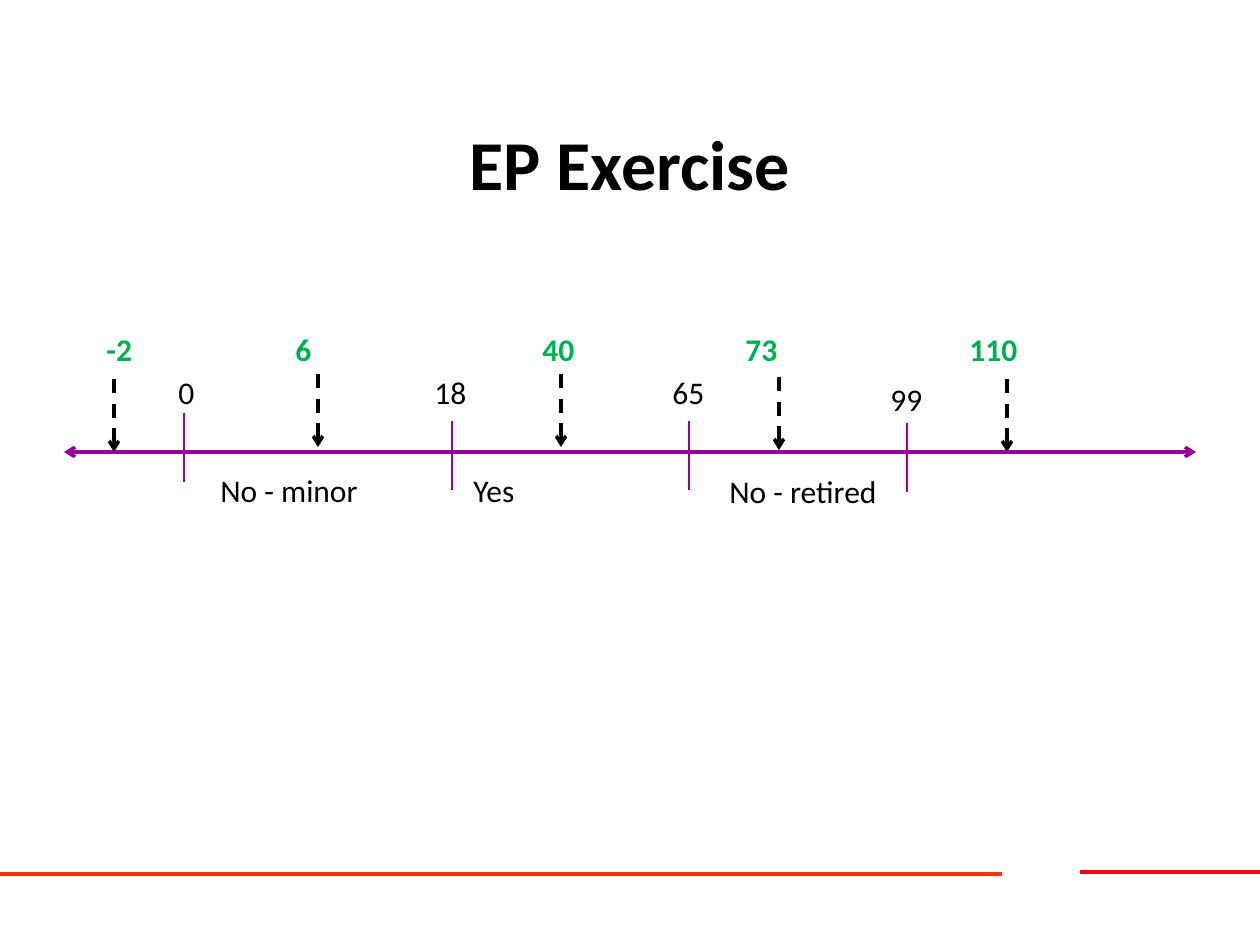
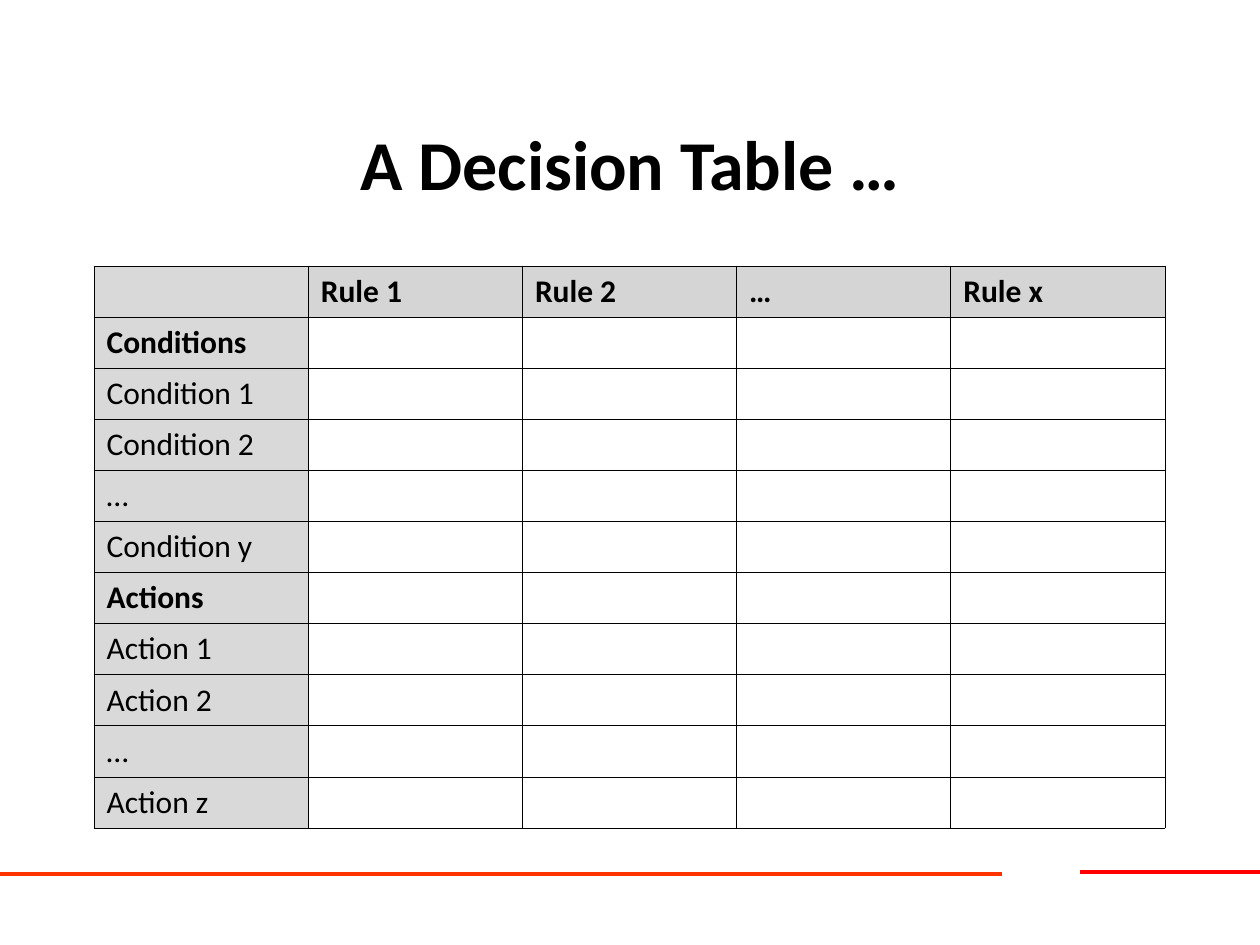
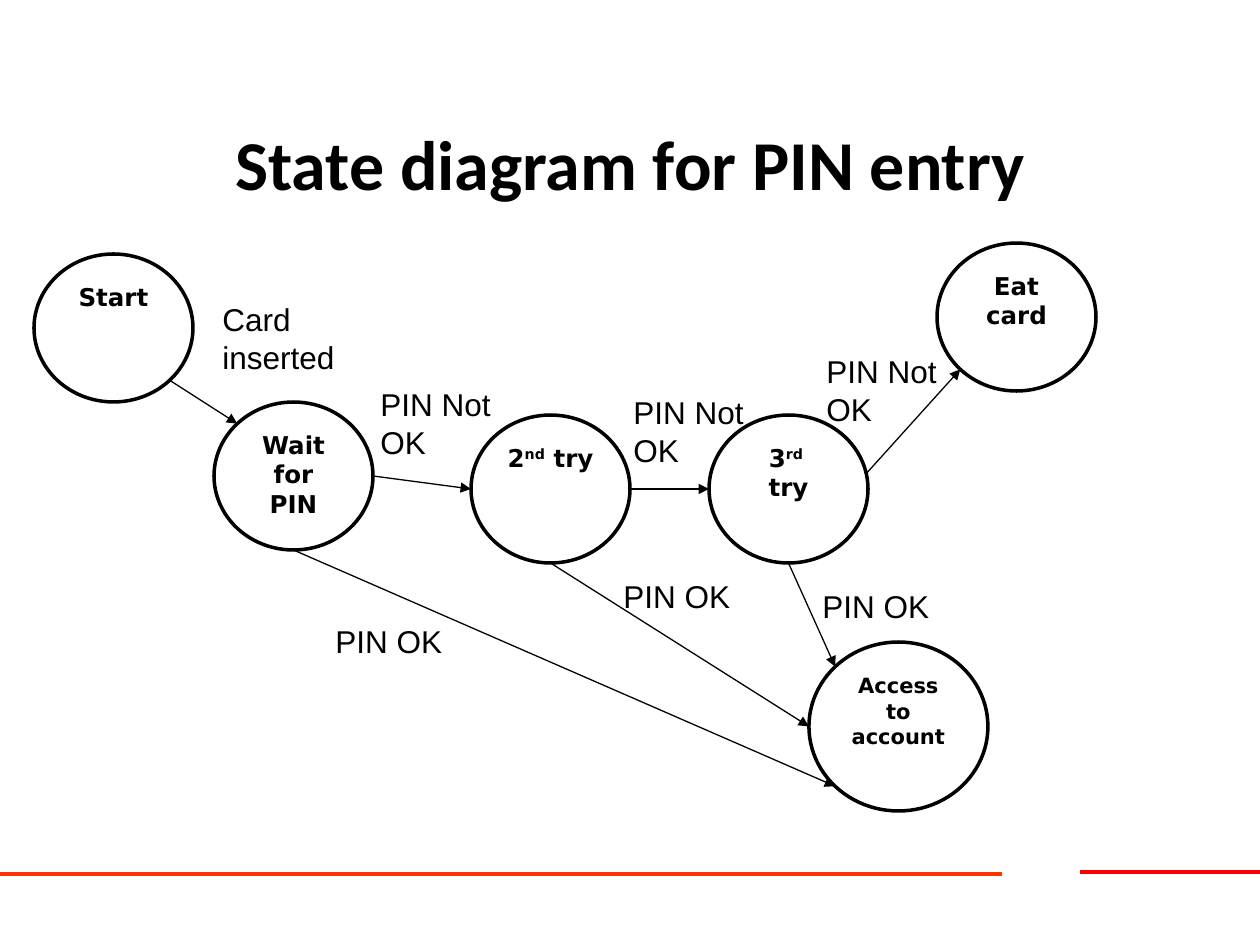
from math import cos, radians, sin

from lxml import etree
from pptx import Presentation
from pptx import util as u
from pptx.dml.color import RGBColor
from pptx.enum import dml, shapes, text
from pptx.oxml.ns import qn

BLACK = RGBColor(0, 0, 0)
WHITE = RGBColor(255, 255, 255)
RED = RGBColor(255, 0, 0)
ORANGE = RGBColor(255, 51, 0)
PURPLE = RGBColor(153, 0, 153)
GREEN = RGBColor(0, 176, 80)
HEAD = RGBColor(213, 213, 213)
SIDE = RGBColor(217, 217, 217)
BODY, LABEL, STATE = "Calibri", "Arial", "DejaVu Sans"
SCALE = 914400 / 126


def px(n):
    """Turn pixels into EMU."""
    return u.Emu(round(n * SCALE))


def style(run, size, face=BODY, color=BLACK, bold=False):
    """Format one run."""
    font = run.font
    font.size, font.name, font.bold = u.Pt(size), face, bold
    font.color.rgb = color


def line(slide, start, end, color, width, tip=None, tail=None, dash=False):
    """Draw a straight line with an optional arrowhead at each end."""
    link = slide.shapes.add_connector(
        shapes.MSO_CONNECTOR.STRAIGHT, *map(px, (*start, *end)))
    link.line.color.rgb = color
    link.line.width = u.Pt(width)
    if dash:
        link.line.dash_style = dml.MSO_LINE.DASH
    props = link.line._get_or_add_ln()
    for tag, kind in (("a:headEnd", tail), ("a:tailEnd", tip)):
        if kind:
            etree.SubElement(props, qn(tag), type=kind)
    etree.SubElement(link.element.spPr, qn("a:effectLst"))
    return link


def label(slide, x, y, w, words, face=BODY, color=BLACK, bold=False, wrap=True, h=50):
    """Place a text box and return its paragraph."""
    frame = slide.shapes.add_textbox(*map(px, (x, y, w, h))).text_frame
    frame.word_wrap = wrap
    frame.text = words
    para = frame.paragraphs[0]
    style(para.runs[0], 18, face, color, bold)
    return para


def band(slide):
    """Put the two footer rules on the layout that the slides share."""
    rules = (((1080, 872), (1260, 872), RED), ((0, 874), (1002, 874), ORANGE))
    for num, (start, end, color) in enumerate(rules, 20):
        rule = line(slide, start, end, color, 2.25).element
        rule.nvCxnSpPr.cNvPr.id = num
        slide.slide_layout.shapes.element.append(rule)


def page(deck, words):
    """Add a slide with its title."""
    slide = deck.slides.add_slide(deck.slide_layouts[5])
    title = slide.shapes.title
    title.left, title.top, title.width, title.height = map(px, (94, 84, 1072, 158))
    frame = title.text_frame
    frame.text = words
    frame.vertical_anchor = text.MSO_ANCHOR.MIDDLE
    para = frame.paragraphs[0]
    para.alignment = text.PP_ALIGN.CENTER
    style(para.runs[0], 40, bold=True)
    return slide


def ages(slide, x, y, w):
    """Draw the age axis with its bounds, zones and test values."""
    axis = y + 128
    line(slide, (x, axis), (x + w, axis), PURPLE, 2, "arrow", "arrow")
    bounds = (("0", 120, 89, 102, 43), ("18", 388, 97, 358, 43),
              ("65", 625, 97, 596, 43), ("99", 843, 99, 814, 50))
    for words, dx, top, left, high in bounds:
        line(slide, (x + dx, y + top), (x + dx, y + top + 69), PURPLE, 0.75)
        label(slide, x + left, y + high, 58, words, wrap=False)
    zones = (("No - minor", 144, 141, 214), ("Yes", 397, 141, 110),
             ("No - retired", 653, 142, 181))
    for words, dx, dy, wide in zones:
        label(slide, x + dx, y + dy, wide, words)
    para = label(slide, x + 30, y, 1142, "-2\t6\t40\t73\t110", color=GREEN, bold=True)
    tabs = etree.SubElement(para._p.get_or_add_pPr(), qn("a:tabLst"))
    for stop in (189, 436, 639, 863):
        etree.SubElement(tabs, qn("a:tab"), pos=str(px(stop)), algn="l")
    for dx, dy in ((50, 55), (254, 50), (497, 50), (715, 53), (943, 55)):
        line(slide, (x + dx, y + dy), (x + dx, y + dy + 73), BLACK, 2, "arrow", dash=True)


def edge(cell):
    """Give a cell thin black borders."""
    props = cell._tc.get_or_add_tcPr()
    for num, side in enumerate(("lnL", "lnR", "lnT", "lnB")):
        rule = etree.Element(qn("a:" + side), w="5715")
        fill = etree.SubElement(rule, qn("a:solidFill"))
        etree.SubElement(fill, qn("a:srgbClr"), val=str(BLACK))
        props.insert(num, rule)


def rules(slide, x, y, w, h):
    """Build the empty decision table."""
    heads = ("", "Rule 1", "Rule 2", "…", "Rule x")
    sides = ("", "Conditions", "Condition 1", "Condition 2", "…", "Condition y",
             "Actions", "Action 1", "Action 2", "…", "Action z")
    grid = slide.shapes.add_table(
        len(sides), len(heads), *map(px, (x, y, w, h))).table
    grid.first_row = grid.horz_banding = False
    for r, side in enumerate(sides):
        for c, head in enumerate(heads):
            cell = grid.cell(r, c)
            if r and c:
                cell.fill.background()
            else:
                cell.fill.solid()
                cell.fill.fore_color.rgb = HEAD if c else SIDE
                cell.text = head or side
            for run in cell.text_frame.paragraphs[0].runs:
                style(run, 18, bold=r == 0 or side in ("Conditions", "Actions"))
            edge(cell)


def state(slide, box, words, size):
    """Draw one state; text between carets is raised."""
    oval = slide.shapes.add_shape(shapes.MSO_SHAPE.OVAL, *map(px, box))
    oval.shadow.inherit = False
    oval.fill.solid()
    oval.fill.fore_color.rgb = WHITE
    oval.line.color.rgb = BLACK
    oval.line.width = u.Pt(2)
    frame = oval.text_frame
    frame.word_wrap = True
    frame.vertical_anchor = text.MSO_ANCHOR.TOP
    for num, row in enumerate(words.split("\n")):
        para = frame.add_paragraph() if num else frame.paragraphs[0]
        para.alignment = text.PP_ALIGN.CENTER
        for odd, part in enumerate(row.split("^")):
            run = para.add_run()
            run.text = part
            style(run, size, STATE, bold=True)
            if odd % 2:
                run._r.get_or_add_rPr().set("baseline", "30000")


def rim(box, angle):
    """Find the point of an oval at an angle, clockwise from the right."""
    x, y, w, h = box
    turn = radians(angle)
    return x + w / 2 * (1 + cos(turn)), y + h / 2 * (1 + sin(turn))


def states(slide, x, y):
    """Draw the PIN states, their moves and the labels."""
    spots = {
        "Start": (0, 11), "Wait for PIN": (180, 159), "2^nd^ try": (437, 172),
        "3^rd ^\ntry": (675, 172), "Eat card": (903, 0), "Access to account": (775, 399)}
    start, wait, second, third, eat, access = spots
    boxes = {}
    for words, (dx, dy) in spots.items():
        last = words == access
        boxes[words] = (x + dx, y + dy, *((179, 169) if last else (159, 148)))
        state(slide, boxes[words], words, 12 if last else 14)
    moves = ((start, 45, wait, 225), (wait, 0, second, 180), (wait, 90, access, 135),
             (second, 90, access, 180), (third, 90, access, 225),
             (second, 0, third, 180), (third, -12, eat, 135))
    for old, out, new, into in moves:
        line(slide, rim(boxes[old], out), rim(boxes[new], into), BLACK, 0.75, "triangle")
    notes = (("Card inserted", 176, 51), ("PIN OK", 289, 373), ("PIN OK", 577, 328),
             ("PIN OK", 776, 338), ("PIN Not OK", 334, 136),
             ("PIN Not OK", 587, 144), ("PIN Not OK", 780, 103))
    for words, dx, dy in notes:
        label(slide, x + dx, y + dy, 158, words, LABEL, h=50 if words == "PIN OK" else 88)


def main():
    """Build the deck."""
    deck = Presentation()
    deck.slide_width, deck.slide_height = px(1260), px(945)
    first = page(deck, "EP Exercise")
    band(first)
    ages(first, 64, 324, 1132)
    rules(page(deck, "A Decision Table …"), 94, 266, 1071, 562)
    states(page(deck, "State diagram for PIN entry"), 34, 243)
    deck.save("out.pptx")


if __name__ == "__main__":
    main()
